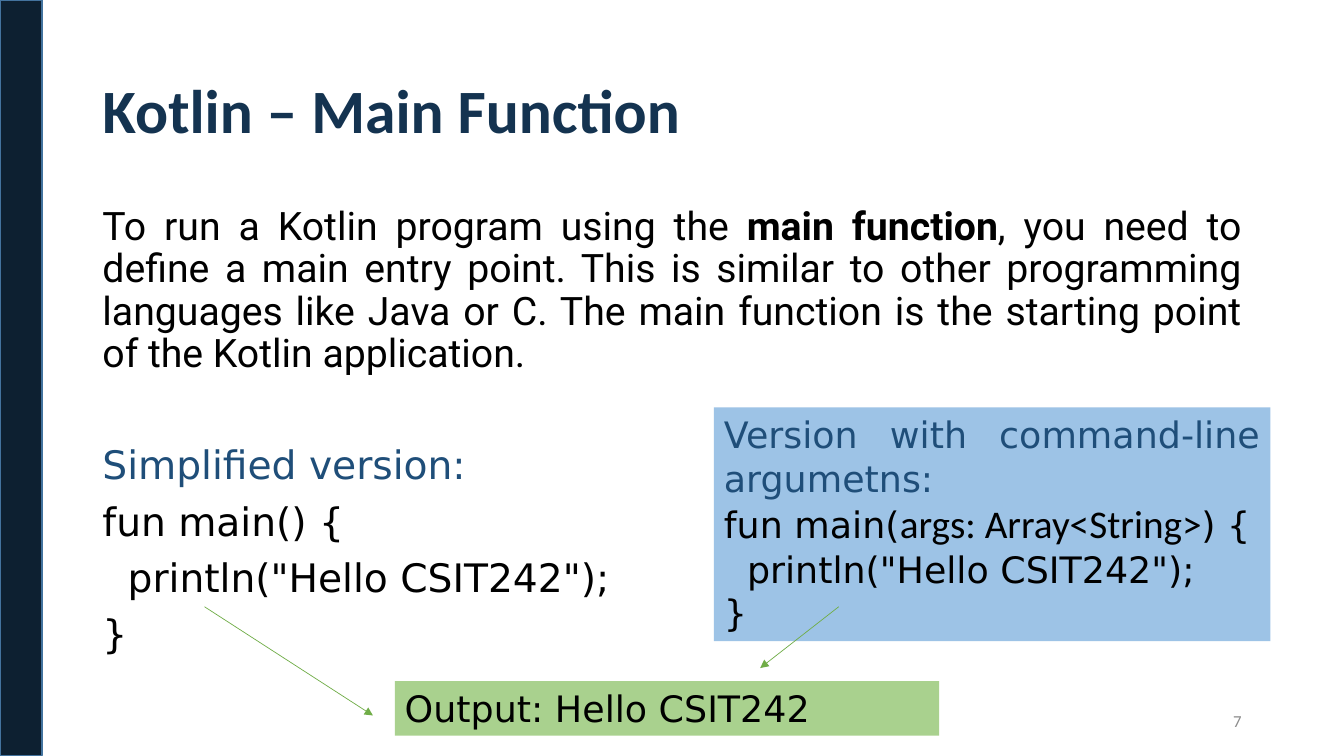
import dataclasses

import pptx
import pptx.dml.color
import pptx.enum.shapes
import pptx.enum.text
import pptx.oxml.ns
import pptx.util
import lxml.etree

ALIGN = pptx.enum.text.PP_ALIGN
ANCHOR = pptx.enum.text.MSO_ANCHOR
RECT = pptx.enum.shapes.MSO_SHAPE.RECTANGLE
STRAIGHT = pptx.enum.shapes.MSO_CONNECTOR.STRAIGHT
RGB = pptx.dml.color.RGBColor.from_string
qn = pptx.oxml.ns.qn


@dataclasses.dataclass(frozen=True)
class Theme:
    bar: str = "0D2031"
    bar_edge: str = "43739E"
    title: str = "143350"
    text: str = "000000"
    label: str = "1F4E79"
    args_fill: str = "9DC3E6"
    output_fill: str = "A9D18E"
    arrow: str = "70AD47"
    number: str = "8C8C8C"
    head_font: str = "Calibri"
    body_font: str = "Roboto"
    code_font: str = "DejaVu Sans"
    title_size: int = 44
    body_size: int = 28
    box_size: int = 26
    number_size: int = 12


T = Theme()

prs = pptx.Presentation()
prs.slide_width = pptx.util.Inches(13.33)
prs.slide_height = pptx.util.Inches(7.5)
UNIT = prs.slide_width / 32  # 32 columns by 18 rows of square cells


def grid(*cells):
    return [round(c * UNIT) for c in cells]


def write(tf, text, size=T.body_size, font=T.code_font, color=T.text, bold=False,
          align=ALIGN.JUSTIFY, line=1.0, before=0, indent=0, same_line=False):
    """Add text as a new paragraph, or as a run of the last one."""
    p = tf.paragraphs[-1]
    if not same_line:
        if p.runs:
            p = tf.add_paragraph()
        p.alignment, p.line_spacing = align, line
        p.space_before = pptx.util.Pt(before)
        pPr = p._p.get_or_add_pPr()
        pPr.set("marL", str(pptx.util.Pt(indent)))
        pPr.set("indent", "0")
        lxml.etree.SubElement(pPr, qn("a:buNone"))
    r = p.add_run()
    r.text = text
    r.font.size, r.font.name, r.font.bold = pptx.util.Pt(size), font, bold
    r.font.color.rgb = RGB(color)


s = prs.slides.add_slide(prs.slide_layouts[1])
title, body = s.placeholders[0], s.placeholders[1]

# Filled panels: side bar, command-line version, output
panels = []
for cells, fill in [((0, 0, 1, 18), T.bar),
                    ((17, 9.7, 13.25, 5.57), T.args_fill),
                    ((9.4, 16.22, 12.96, 1.3), T.output_fill)]:
    sp = s.shapes.add_shape(RECT, *grid(*cells))
    sp.shadow.inherit = False
    sp.fill.solid()
    sp.fill.fore_color.rgb = RGB(fill)
    sp.line.fill.background()
    sp.text_frame.word_wrap = True
    sp.text_frame.vertical_anchor = ANCHOR.TOP
    panels.append(sp)
bar, args_box, output_box = panels
bar.line.color.rgb = RGB(T.bar_edge)
bar.line.width = pptx.util.Pt(1)

# Title and body placeholders
for ph, cells, anchor in [(title, (2.2, 0.96, 27.6, 3.48), ANCHOR.MIDDLE),
                          (body, (2.2, 4.8, 27.6, 11.42), ANCHOR.TOP)]:
    ph.left, ph.top, ph.width, ph.height = grid(*cells)
    ph.text_frame.vertical_anchor = anchor
    ph.text_frame.auto_size = pptx.enum.text.MSO_AUTO_SIZE.NONE

write(title.text_frame, "Kotlin – Main Function", size=T.title_size,
      font=T.head_font, color=T.title, bold=True, align=ALIGN.LEFT, line=0.9)

tf = body.text_frame
write(tf, "To run a Kotlin program using the ", font=T.body_font, line=0.9, before=10)
write(tf, "main function", font=T.body_font, bold=True, same_line=True)
write(tf, ", you need to define a main entry point. This is similar to other "
      "programming languages like Java or C. The main function is the starting "
      "point of the Kotlin application.", font=T.body_font, same_line=True)

# Simplified version
write(tf, "Simplified version:", color=T.label, line=0.9, before=50)
for code, indent in [("fun main() {", 0), ('println("Hello CSIT242");', 18), ("}", 0)]:
    write(tf, code, line=0.9, before=10, indent=indent)

# Version with command-line arguments
tf = args_box.text_frame
write(tf, "Version with command-line argumetns:", size=T.box_size, color=T.label)
write(tf, "fun main(", size=T.box_size)
write(tf, "args: Array<String>", font=T.head_font, same_line=True)
write(tf, ") {", size=T.box_size, same_line=True)
write(tf, 'println("Hello CSIT242");', size=T.box_size, indent=16.5)
write(tf, "}", size=T.box_size)

# Output
write(output_box.text_frame, "Output: Hello CSIT242", size=T.box_size)

# Slide number
number = s.shapes.add_textbox(*grid(22.6, 16.68, 7.2, 0.96))
number.text_frame.word_wrap = True
number.text_frame.vertical_anchor = ANCHOR.MIDDLE
write(number.text_frame, "7", size=T.number_size, font=T.head_font,
      color=T.number, align=ALIGN.RIGHT)

# Arrows from both versions to the output
for ends in [(4.87, 14.45, 8.88, 17.04), (19.97, 14.45, 18.1, 15.91)]:
    arrow = s.shapes.add_connector(STRAIGHT, *grid(*ends))
    arrow.line.color.rgb = RGB(T.arrow)
    arrow.line.width = pptx.util.Pt(0.5)
    lxml.etree.SubElement(arrow.line._get_or_add_ln(), qn("a:tailEnd"), type="triangle")
    lxml.etree.SubElement(arrow._element.spPr, qn("a:effectLst"))

prs.save("out.pptx")
